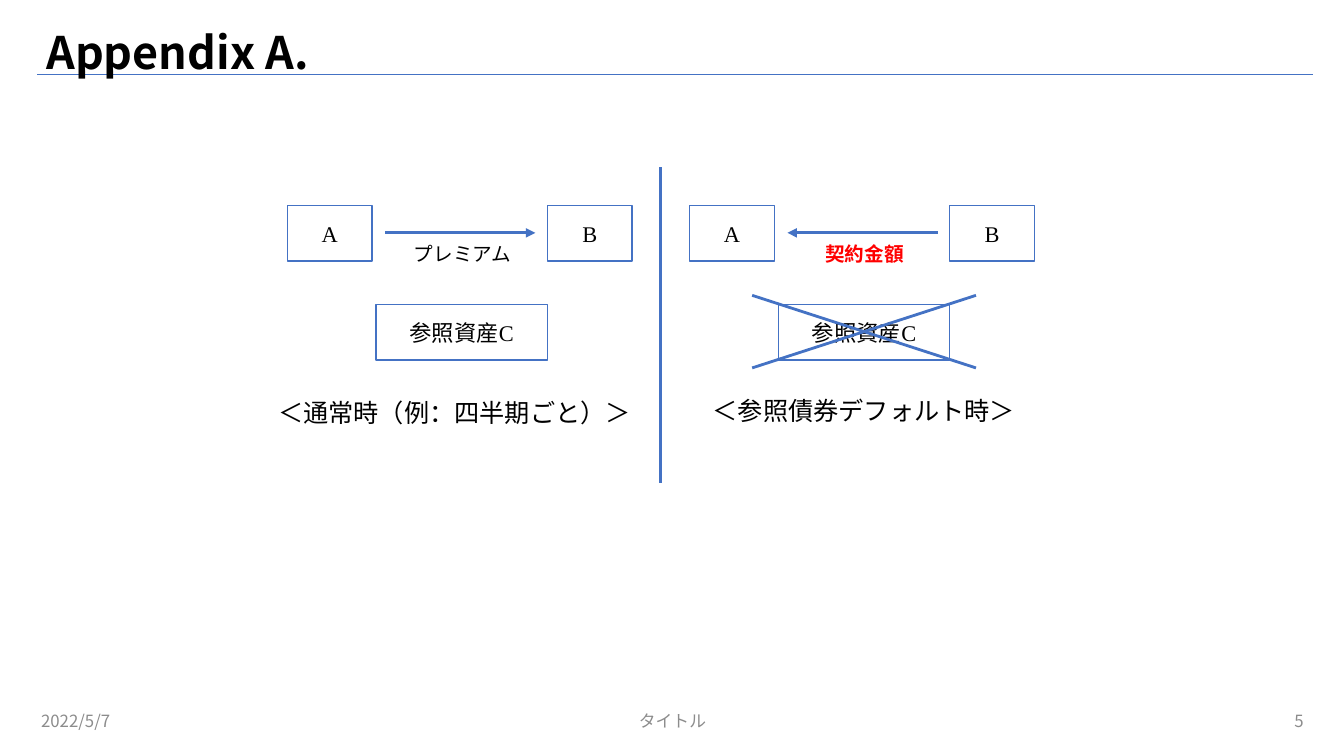
import pptx
import pptx.dml.color
import pptx.enum.shapes
import pptx.enum.text
import pptx.oxml.ns
import pptx.util
from lxml import etree

Inches = pptx.util.Inches
RGBColor = pptx.dml.color.RGBColor
ALIGN = pptx.enum.text.PP_ALIGN
ANCHOR = pptx.enum.text.MSO_ANCHOR

BLUE = RGBColor(0x44, 0x72, 0xC4)
BLACK = RGBColor(0, 0, 0)
WHITE = RGBColor(0xFF, 0xFF, 0xFF)
RED = RGBColor(0xFF, 0, 0)
GRAY = RGBColor(0x8C, 0x8C, 0x8C)
SANS = "Noto Sans CJK JP"
SERIF = "Times New Roman"
PANEL_STEP = 3.99


def add_xml(parent, tag, **attributes):
    return etree.SubElement(parent, pptx.oxml.ns.qn(tag), **attributes)


def write(tf, text, size=16, font=SERIF, color=BLACK, bold=False,
          align=ALIGN.LEFT, anchor=ANCHOR.MIDDLE, wrap=True):
    tf.word_wrap = wrap
    tf.vertical_anchor = anchor
    p = tf.paragraphs[0]
    p.alignment = align
    r = p.add_run()
    r.text = text
    r.font.size = pptx.util.Pt(size)
    r.font.name = font
    r.font.bold = bold
    r.font.color.rgb = color
    add_xml(r.font._element, "a:ea", typeface=SANS)


def add_label(s, text, x, y, w, h, **style):
    box = s.shapes.add_textbox(Inches(x), Inches(y), Inches(w), Inches(h))
    write(box.text_frame, text, **style)


def add_box(s, text, x, y, w, h=0.55):
    sp = s.shapes.add_shape(pptx.enum.shapes.MSO_SHAPE.RECTANGLE,
                            Inches(x), Inches(y), Inches(w), Inches(h))
    sp.shadow.inherit = False
    sp.fill.solid()
    sp.fill.fore_color.rgb = WHITE
    sp.line.color.rgb = BLUE
    sp.line.width = pptx.util.Pt(1)
    write(sp.text_frame, text, align=ALIGN.CENTER)


def add_line(s, x1, y1, x2, y2, width=2.25, arrow=False):
    line = s.shapes.add_connector(pptx.enum.shapes.MSO_CONNECTOR.STRAIGHT,
                                  Inches(x1), Inches(y1), Inches(x2), Inches(y2))
    line.line.color.rgb = BLUE
    line.line.width = pptx.util.Pt(width)
    if arrow:
        add_xml(line.line._get_or_add_ln(), "a:tailEnd", type="triangle")
    add_xml(line._element.spPr, "a:effectLst")
    return line


def add_title(s, text):
    title = s.shapes.title
    title.left, title.top = Inches(0.36), Inches(0.24)
    title.width, title.height = Inches(12.67), Inches(0.61)
    title.line.color.rgb = WHITE
    title.line.width = pptx.util.Pt(0.75)
    write(title.text_frame, text, size=32, font=SANS, bold=True)
    title.text_frame.paragraphs[0].line_spacing = 0.9
    rule = add_line(s, 13.03, 0.74, 0.36, 0.74, width=1)
    title.element.addprevious(rule.element)


def add_footer(s):
    for text, x, w, align in (("2022/5/7", 0.31, 3, ALIGN.LEFT),
                              ("タイトル", 4.42, 4.5, ALIGN.CENTER),
                              ("5", 10.03, 3, ALIGN.RIGHT)):
        add_label(s, text, x, 6.95, w, 0.4, size=12, font=SANS, color=GRAY,
                  align=align)


def add_panel(s, x, flow, arrow_ends, **flow_style):
    """Draw parties A and B, the payment between them and reference asset C."""
    add_box(s, "A", x, 2.04, 0.84)
    start, end = arrow_ends
    add_line(s, x + start, 2.31, x + end, 2.31, arrow=True)
    add_box(s, "B", x + 2.58, 2.04, 0.84)
    add_label(s, flow, x + 1.13, 2.35, 1.21, 0.34, size=14,
              align=ALIGN.CENTER, anchor=ANCHOR.TOP, **flow_style)
    add_box(s, "参照資産C", x + 0.88, 3.02, 1.7)


def add_caption(s, text, x, y):
    add_label(s, text, x, y, 3.89, 0.4, size=18, anchor=ANCHOR.TOP)


def add_cross(s, left, top, right, bottom):
    add_line(s, left, top, right, bottom, width=2)
    add_line(s, left, bottom, right, top, width=2)


def main():
    prs = pptx.Presentation()
    prs.slide_width, prs.slide_height = Inches(13.33), Inches(7.5)
    s = prs.slides.add_slide(prs.slide_layouts.get_by_name("Title Only"))
    add_title(s, "Appendix A.")
    add_footer(s)

    normal_x = 2.85
    add_panel(s, normal_x, "プレミアム", (0.97, 2.46))
    add_caption(s, "＜通常時（例：四半期ごと）＞", 2.66, 3.89)

    add_panel(s, normal_x + PANEL_STEP, "契約金額", (2.46, 0.97),
              color=RED, bold=True)
    add_caption(s, "＜参照債券デフォルト時＞", 6.97, 3.87)
    add_cross(s, 7.46, 2.93, 9.68, 3.65)

    add_line(s, 6.55, 1.66, 6.55, 4.79)
    prs.save("out.pptx")


if __name__ == "__main__":
    main()
